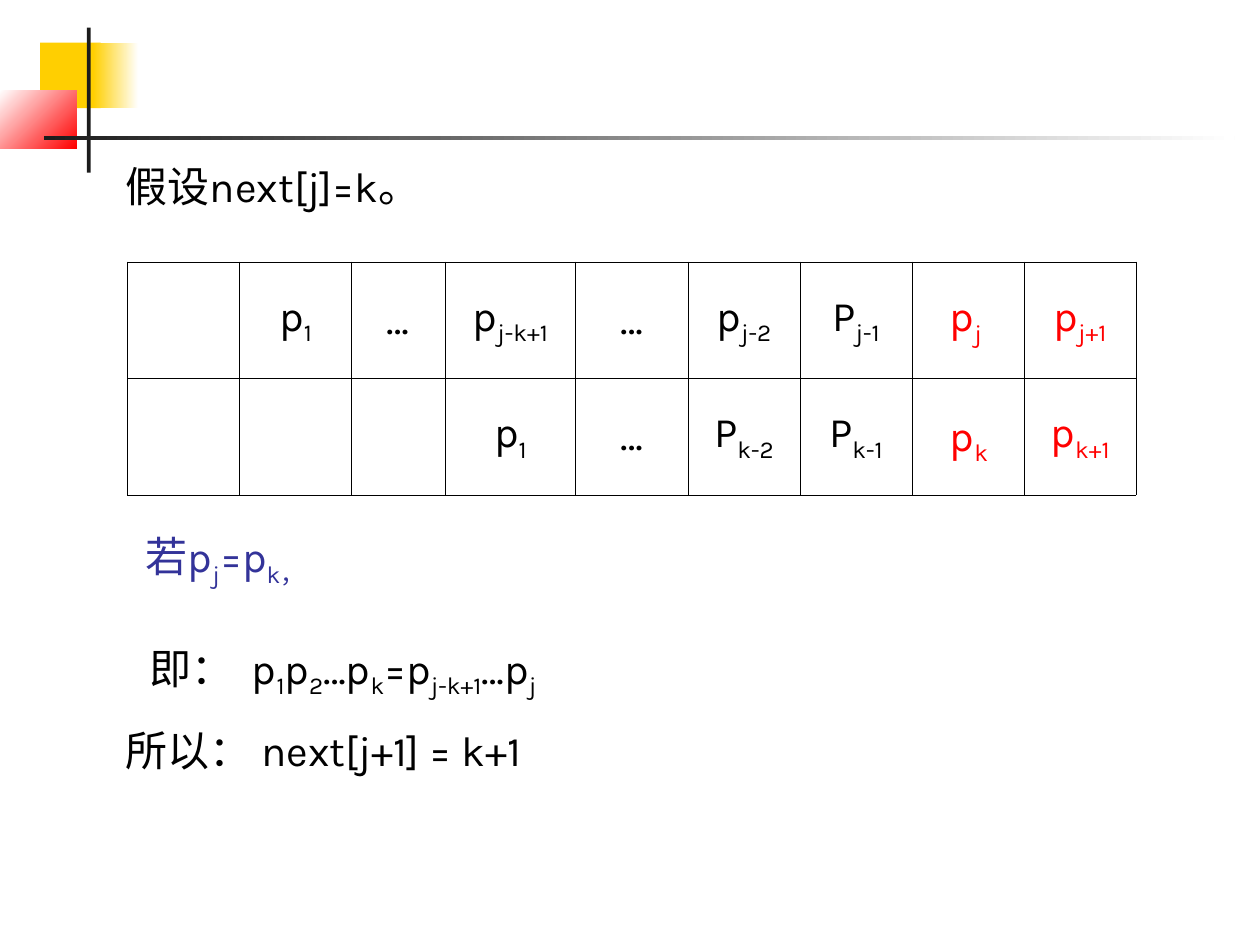
"""Build the slide that derives next[j+1] from next[j] in KMP matching."""
from lxml.etree import SubElement
from pptx import Presentation
from pptx.dml.color import RGBColor
from pptx.enum.shapes import MSO_SHAPE
from pptx.enum.text import MSO_ANCHOR, MSO_AUTO_SIZE, PP_ALIGN
from pptx.oxml.ns import qn
from pptx.util import Cm, Pt

COLORS = {
    "black": "000000", "white": "FFFFFF", "ink": "1C1C1C",
    "gold": "FFCF01", "red": "FF0000", "blue": "333399",
}
FONT = "Karla"
SUBSCRIPT_MARK = "_"

DECORATIONS = [
    ((0.81, 0.86, 1.22, 1.32), ("gold",), 0),
    ((1.88, 0.86, 0.91, 1.32), ("gold", "white"), 0),
    ((0, 1.83, 1.55, 1.17), ("white", "red"), 315),
    ((1.75, 0.56, 0.08, 2.92), ("ink",), 0),
    ((0.89, 2.74, 24, 0.08), ("ink", "white"), 0),
]

TABLE_LEFT, TABLE_TOP = 2.57, 5.28
COLUMN_WIDTHS = [2.26, 2.26, 1.88, 2.64] + [2.26] * 5
ROW_HEIGHT = 2.35
PATTERN_ROWS = [
    ["", "p_1", "…", "p_j-k+1", "…", "p_j-2", "P_j-1", "", "p_j+1"],
    ["", "", "", "p_1", "…", "P_k-2", "P_k-1", "", "p_k+1"],
]
LAST_COLUMN = len(COLUMN_WIDTHS) - 1

TEXTS = [
    ((2.29, 3.12, 21, 1.27), "black", 1, [("假设next[j]=k。", 0)]),
    ((18.9, 5.72, 1.6, 1.42), "red", 1, [("p_j", 0)]),
    ((2.69, 10.57, 21, 1.42), "blue", 1, [("若p_j_=p_k，", 0)]),
    ((2.29, 12.24, 21, 4.09), "black", 1.5, [
        ("即：\tp_1_p_2_…p_k_=p_j-k+1_…p_j", 0.48),
        ("所以： next[j+1] = k+1", 0),
    ]),
    ((18.9, 8.13, 1.6, 1.42), "red", 1, [("p_k", 0)]),
]
FORMULA_TAB = 2.79


def rgb(name):
    return RGBColor.from_string(COLORS[name])


def write_formula(para, formula, color):
    para.font.name, para.font.size = FONT, Pt(24)
    para.font.color.rgb = rgb(color)
    for index, part in enumerate(formula.split(SUBSCRIPT_MARK)):
        if part:
            span = para.add_run()
            span.text = part
            if index % 2:
                span._r.get_or_add_rPr().set("baseline", "-25000")


def add_decoration(page, bounds, names, angle):
    shape = page.shapes.add_shape(MSO_SHAPE.RECTANGLE, *map(Cm, bounds))
    shape.shadow.inherit = False
    shape.line.fill.background()
    if len(names) == 1:
        shape.fill.solid()
        shape.fill.fore_color.rgb = rgb(names[0])
    else:
        shape.fill.gradient()
        shape.fill.gradient_angle = angle
        for stop, name in zip(shape.fill.gradient_stops, names):
            stop.color.rgb = rgb(name)


def add_borders(cell):
    properties = cell._tc.get_or_add_tcPr()
    for side in ("lnL", "lnR", "lnT", "lnB"):
        line = SubElement(properties, qn(f"a:{side}"), w=str(Pt(0.45)))
        fill = SubElement(line, qn("a:solidFill"))
        SubElement(fill, qn("a:srgbClr"), val=COLORS["black"])


def add_pattern_table(page):
    frame = page.shapes.add_table(
        len(PATTERN_ROWS), len(COLUMN_WIDTHS), Cm(TABLE_LEFT), Cm(TABLE_TOP),
        Cm(sum(COLUMN_WIDTHS)), Cm(ROW_HEIGHT * len(PATTERN_ROWS)))
    table = frame.table
    table.first_row = table.horz_banding = False
    for column, width in zip(table.columns, COLUMN_WIDTHS):
        column.width = Cm(width)
    for row_index, formulas in enumerate(PATTERN_ROWS):
        table.rows[row_index].height = Cm(ROW_HEIGHT)
        for column_index, formula in enumerate(formulas):
            cell = table.cell(row_index, column_index)
            add_borders(cell)
            cell.fill.solid()
            cell.fill.fore_color.rgb = rgb("white")
            cell.vertical_anchor = MSO_ANCHOR.MIDDLE
            para = cell.text_frame.paragraphs[0]
            para.alignment = PP_ALIGN.CENTER
            write_formula(para, formula, "red" if column_index == LAST_COLUMN else "black")


def add_text(page, bounds, color, spacing, lines):
    box = page.shapes.add_textbox(*map(Cm, bounds))
    frame = box.text_frame
    frame.word_wrap = True
    frame.auto_size = MSO_AUTO_SIZE.SHAPE_TO_FIT_TEXT
    for index, (formula, indent) in enumerate(lines):
        para = frame.add_paragraph() if index else frame.paragraphs[0]
        para.line_spacing = spacing
        if indent:
            properties = para._p.get_or_add_pPr()
            properties.set("indent", str(Cm(indent)))
            tabs = SubElement(properties, qn("a:tabLst"))
            SubElement(tabs, qn("a:tab"), pos=str(Cm(FORMULA_TAB)), algn="l")
        write_formula(para, formula, color)


def main():
    deck = Presentation()
    deck.slide_width, deck.slide_height = Cm(25.4), Cm(19.05)
    page = deck.slides.add_slide(deck.slide_layouts[6])
    for decoration in DECORATIONS:
        add_decoration(page, *decoration)
    add_pattern_table(page)
    for text in TEXTS:
        add_text(page, *text)
    deck.save("out.pptx")


if __name__ == "__main__":
    main()
